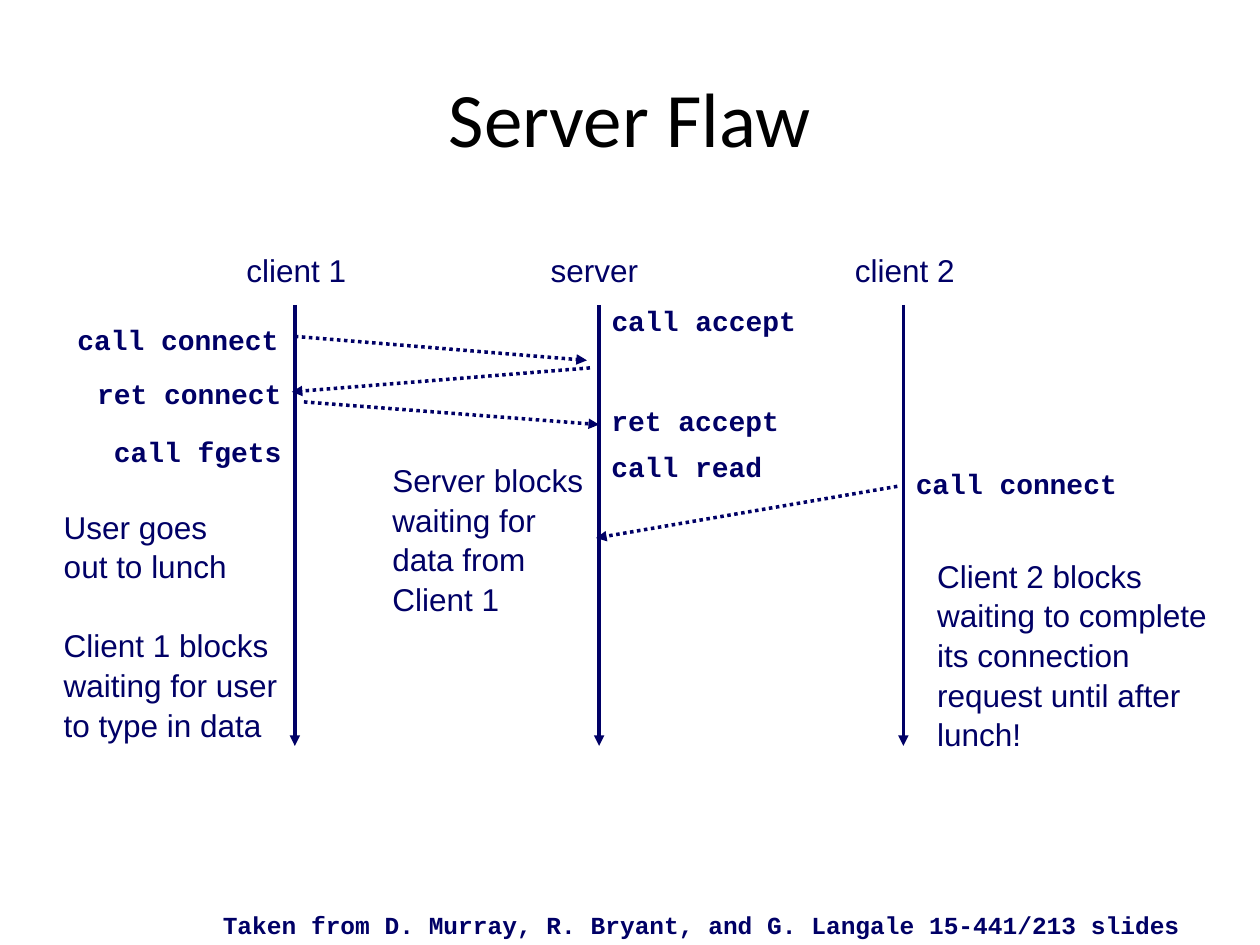
from collections import namedtuple

from lxml import etree
from pptx import Presentation
from pptx.dml.color import RGBColor
from pptx.enum.dml import MSO_LINE
from pptx.enum.shapes import MSO_CONNECTOR
from pptx.enum.text import MSO_ANCHOR, MSO_AUTO_SIZE, PP_ALIGN
from pptx.oxml.ns import qn
from pptx.util import Inches, Pt

STRAIGHT = MSO_CONNECTOR.STRAIGHT
DOTTED = MSO_LINE.ROUND_DOT
MIDDLE = MSO_ANCHOR.MIDDLE
CENTER = PP_ALIGN.CENTER
GROW = MSO_AUTO_SIZE.SHAPE_TO_FIT_TEXT
FIXED = MSO_AUTO_SIZE.NONE

WIDTH, HEIGHT = 10, 7.5
ROWS = 35
SLACK = 0.04
NAVY = "000066"
Box = namedtuple("Box", "left top width height")

PLAIN = {"name": "Arial", "size": Pt(18), "bold": False}
CODE = {"name": "Courier New", "size": Pt(16), "bold": True}
CREDIT = {**CODE, "size": Pt(14)}
HEADING = {"name": "Calibri", "size": Pt(44), "bold": False}
SPACING = {"space_before": Pt(0.5), "space_after": Pt(0.5)}
SECTION_GAP = Pt(23.2)

LANES = ["client 1", "server", "client 2"]
MESSAGES = [
    ((0, 2.5), (0.96, 4.4)),
    ((0.97, 5), (-0.01, 6.9)),
    ((0.03, 7.7), (1, 9.5)),
    ((1.98, 14.4), (0.99, 18.5)),
]
CALLS_BEFORE_LANE = [
    (-0.01, 0.9, "call connect"),
    (0, 5.2, "ret connect"),
    (0, 9.8, "call fgets"),
]
CALLS_AFTER_LANE = [
    (1, -0.6, "call accept"),
    (1, 7.3, "ret accept"),
    (1, 11, "call read"),
    (2, 12.3, "call connect"),
]
NOTES = [
    (-0.8, 15.6, 1.89, [
        ["User goes", "out to lunch"],
        ["Client 1 blocks", "waiting for user", "to type in data"],
    ]),
    (2.07, 19.5, 2.34, [
        ["Client 2 blocks", "waiting to complete", "its connection",
         "request until after", "lunch!"],
    ]),
    (0.28, 11.9, 1.71, [
        ["Server blocks", "waiting for", "data from", "Client 1"],
    ]),
]


def color(value):
    return RGBColor.from_string(value)


def apply(target, values):
    for key, value in values.items():
        setattr(target, key, value)


def at(box, lane, row):
    lane_gap = box.width / (len(LANES) - 1)
    return box.left + lane * lane_gap, box.top + row * box.height / ROWS


def write(para, text, font, fill):
    apply(para, SPACING)
    span = para.add_run()
    span.text = text
    apply(span.font, font)
    span.font.color.rgb = color(fill)


def add_text(page, box, sections, font):
    roomy = box._replace(width=box.width + SLACK)
    shape = page.shapes.add_textbox(*map(Inches, roomy))
    frame = shape.text_frame
    apply(frame, {"word_wrap": False, "auto_size": GROW})
    para = None
    for number, lines in enumerate(sections):
        for position, line in enumerate(lines):
            para = frame.add_paragraph() if para else frame.paragraphs[0]
            write(para, line, font, NAVY)
            if number and not position:
                para.space_before = SECTION_GAP


def add_arrow(page, start, end, dash=None):
    arrow = page.shapes.add_connector(STRAIGHT, *map(Inches, (*start, *end)))
    apply(arrow.line, {"width": Pt(2), "dash_style": dash})
    arrow.line.color.rgb = color(NAVY)
    outline = arrow.line._get_or_add_ln()
    etree.SubElement(outline, qn("a:tailEnd"), type="triangle")
    etree.SubElement(arrow._element.spPr, qn("a:effectLst"))


def add_title(page, box):
    title = page.shapes.title
    apply(title, dict(zip(Box._fields, map(Inches, box))))
    apply(title.text_frame, {"vertical_anchor": MIDDLE, "auto_size": FIXED})
    para = title.text_frame.paragraphs[0]
    para.alignment = CENTER
    write(para, "Server Flaw", HEADING, "000000")


def add_lifelines(page, box):
    for lane, name in enumerate(LANES):
        add_arrow(page, at(box, lane, 0), at(box, lane, ROWS))
        width = 0.89 if name == "server" else 0.99
        add_text(page, Box(*at(box, lane - 0.2, -4.8), width, 0.4), [[name]], PLAIN)


def add_messages(page, box):
    for start, end in MESSAGES:
        add_arrow(page, at(box, *start), at(box, *end), DOTTED)


def add_calls(page, box, calls, before):
    for lane, row, text in calls:
        left, top = at(box, lane, row)
        width = 0.2 + len(text) * 0.4 / 3
        if before:
            left -= width
        add_text(page, Box(left, top, width, 0.37), [[text]], CODE)


def add_notes(page, box):
    for lane, row, width, sections in NOTES:
        height = 0.1 + 0.31 * (sum(map(len, sections)) + len(sections) - 1)
        add_text(page, Box(*at(box, lane, row), width, height), sections, PLAIN)


def add_credit(page, box):
    credit = "Taken from D. Murray, R. Bryant, and G. Langale 15-441/213 slides"
    add_text(page, box, [[credit]], CREDIT)


def main():
    deck = Presentation()
    apply(deck, {"slide_width": Inches(WIDTH), "slide_height": Inches(HEIGHT)})
    page = deck.slides.add_slide(deck.slide_layouts[5])
    diagram = Box(2.34, 2.42, 4.83, 3.5)
    add_title(page, Box(0.05 * WIDTH, 0.04 * HEIGHT, 0.9 * WIDTH, HEIGHT / 6))
    add_lifelines(page, diagram)
    add_messages(page, diagram)
    add_calls(page, diagram, CALLS_BEFORE_LANE, before=True)
    add_calls(page, diagram, CALLS_AFTER_LANE, before=False)
    add_notes(page, diagram)
    add_credit(page, Box(1.67, HEIGHT - 0.33, 7.8, 0.33))
    deck.save("out.pptx")


if __name__ == "__main__":
    main()
